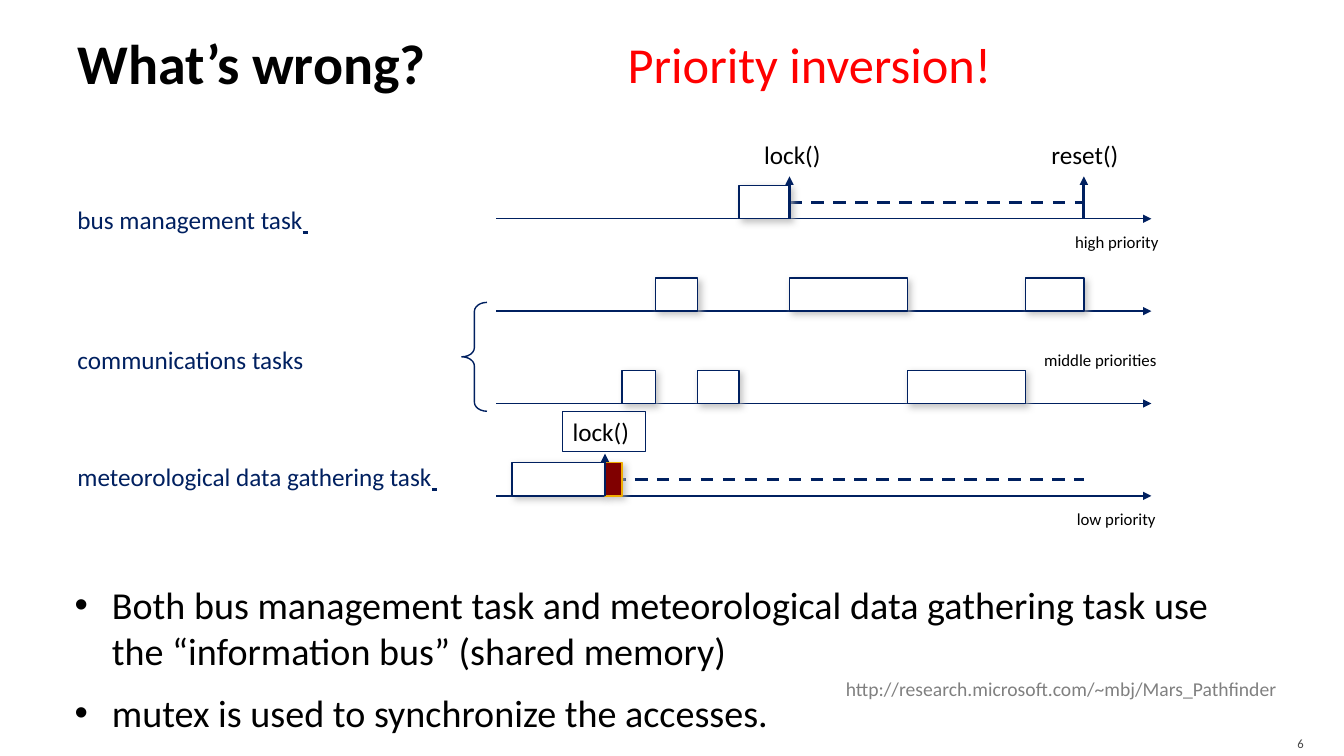
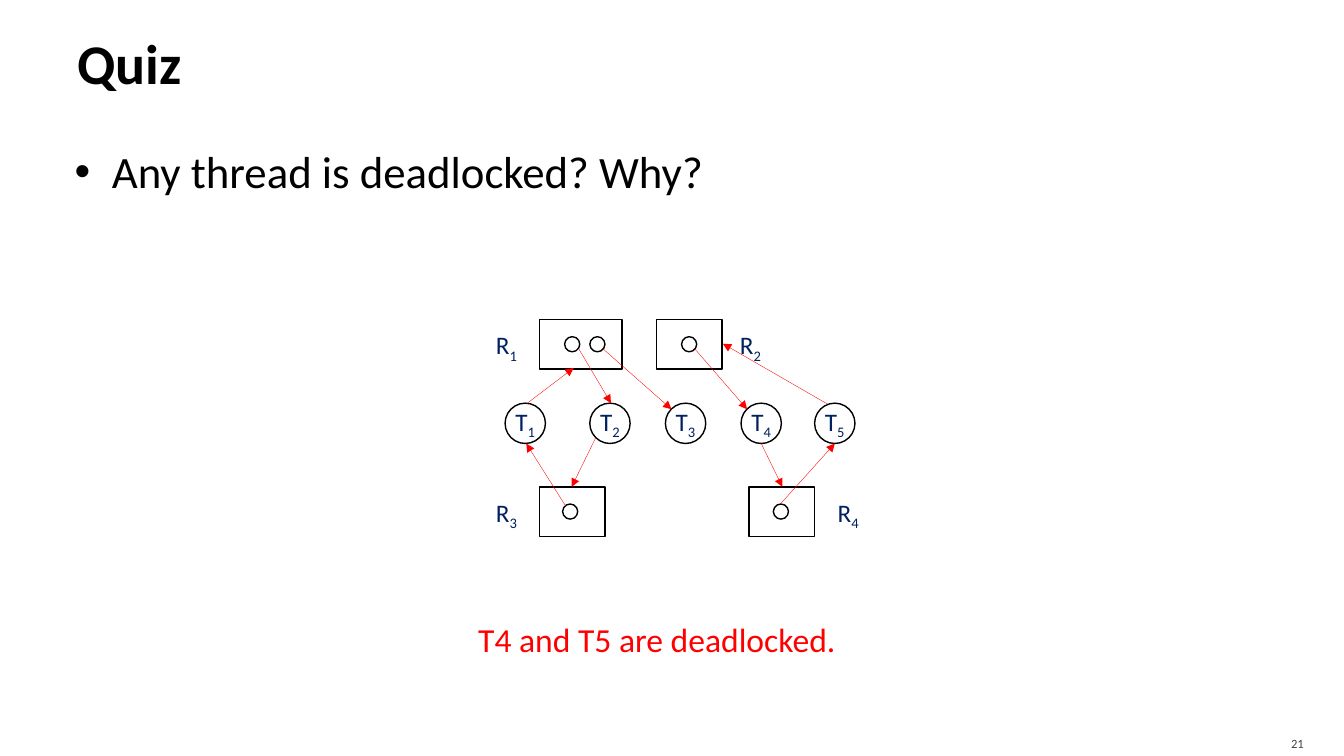
from lxml import etree
from pptx import Presentation
from pptx.dml.color import RGBColor
from pptx.enum import dml, shapes, text
from pptx.oxml import ns
from pptx.util import Inches, Pt

COLORS = {"black": "000000", "white": "FFFFFF", "navy": "002060", "red": "FF0000",
          "maroon": "800000", "gold": "F0AD00", "gray": "808080",
          "number": "454545", "shadow": "B2B2B2"}
FONT = "Calibri"
LEFT, CENTER, RIGHT = text.PP_ALIGN.LEFT, text.PP_ALIGN.CENTER, text.PP_ALIGN.RIGHT
TOP, MIDDLE = text.MSO_ANCHOR.TOP, text.MSO_ANCHOR.MIDDLE
RECT, OVAL = shapes.MSO_SHAPE.RECTANGLE, shapes.MSO_SHAPE.OVAL
MARGINS = (0.1, 0.05, 0.1, 0.05)

# Slide 1: task timelines, times are inches along the slide
INVERSION_POINTS = [
    "Both bus management task and meteorological data gathering task use "
    "the “information bus” (shared memory)",
    "mutex is used to synchronize the accesses."]
TASKS = [(1.98, [("bus management task", None), (" ", "underline")]),
         (3.37, [("communications tasks", None)]),
         (4.53, [("meteorological data gathering task", None), (" ", "underline")])]
PRIORITIES = [("high priority", 10.52, 2.25, 1.07),
              ("middle priorities", 10.21, 3.42, 1.36),
              ("low priority", 10.54, 5, 1.02)]
AXIS_START, AXIS_END = 4.92, 11.42
FIRST_AXIS, AXIS_STEP, BAR_HEIGHT = 2.17, 2.75 / 3, 0.33
BARS = [  # axis, start, end
    (0, 7.33, 7.83),
    (1, 6.5, 6.92), (1, 7.83, 9), (1, 10.17, 10.75),
    (2, 6.17, 6.5), (2, 6.92, 7.33), (2, 9, 10.17),
    (3, 5.08, 6)]
CRITICAL = (3, 6, 6.17)
WAITS = [(0, 7.83, 10.75), (3, 6.08, 10.75)]
EVENTS = [(0, 7.83), (0, 10.75), (3, 6)]
EVENT_LABELS = [("lock()", 7.48, 1.33, 0.82, None), ("reset()", 10.33, 1.33, 0.93, None),
                ("lock()", 5.58, 4.08, 0.82, "navy")]

# Slide 2: resource allocation graph
THREAD_LEFTS = [5.01, 5.85, 6.6, 7.35, 8.08]
RESOURCES = [  # left, top, width, dot lefts, label left
    (5.35, 3.17, 0.82, [5.6, 5.85], 4.82),
    (6.51, 3.17, 0.65, [6.76], 7.24),
    (5.35, 4.83, 0.65, [5.58], 4.82),
    (7.43, 4.83, 0.65, [7.67], 8.21)]
EDGES = [
    (5.61, 5.02, 5.22, 4.4), (5.23, 4, 5.69, 3.65), (5.74, 3.46, 6.06, 4),
    (5.91, 4.34, 5.67, 4.83), (5.98, 3.46, 6.66, 4.06), (6.89, 3.46, 7.41, 4.06),
    (7.74, 5, 8.28, 4.4), (7.55, 4.4, 7.76, 4.83), (8.21, 4.01, 7.17, 3.41)]


def rgb(name):
    return RGBColor.from_string(COLORS[name])


def add_child(parent, tag, **attributes):
    return etree.SubElement(parent, ns.qn(tag), attributes)


def style_run(span, size, color, effect=None, bold=False):
    span.font.name, span.font.size, span.font.bold = FONT, Pt(size), bold
    span.font.color.rgb = rgb(color)
    if effect == "underline":
        span.font.underline = True
    elif effect == "subscript":
        span._r.get_or_add_rPr().set("baseline", "-25000")


def write(box, spans, size, color, align=LEFT, anchor=TOP, wrap=True,
          margins=MARGINS, bold=False):
    """Fill a box with one paragraph; spans is a string or (text, effect) pairs."""
    frame = box.text_frame
    frame.word_wrap, frame.vertical_anchor = wrap, anchor
    (frame.margin_left, frame.margin_top,
     frame.margin_right, frame.margin_bottom) = map(Inches, margins)
    para = frame.paragraphs[0]
    para.alignment = align
    for words, effect in [(spans, None)] if isinstance(spans, str) else spans:
        span = para.add_run()
        span.text = words
        style_run(span, size, color, effect, bold)
    return para


def add_text(page, place, spans, size, color, **options):
    box = page.shapes.add_textbox(*map(Inches, place))
    return write(box, spans, size, color, **options)


def add_box(page, kind, place, fill, line, width=1):
    box = page.shapes.add_shape(kind, *map(Inches, place))
    box.shadow.inherit = False
    if fill:
        box.fill.solid()
        box.fill.fore_color.rgb = rgb(fill)
    else:
        box.fill.background()
    box.line.color.rgb, box.line.width = rgb(line), Pt(width)
    return box


def add_line(page, ends, color, width, arrow=True):
    """Draw an arrow, or a dashed line when arrow is False."""
    line = page.shapes.add_connector(shapes.MSO_CONNECTOR.STRAIGHT, *map(Inches, ends))
    line.line.color.rgb, line.line.width = rgb(color), Pt(width)
    if arrow:
        add_child(line.line._get_or_add_ln(), "a:tailEnd", type="triangle")
    else:
        line.line.dash_style = dml.MSO_LINE.DASH
    add_child(line._element.spPr, "a:effectLst")


def add_bullets(page, place, points, size):
    frame = page.shapes.add_textbox(*map(Inches, place)).text_frame
    frame.word_wrap = True
    frame.margin_left, frame.margin_top = Inches(0.06), Inches(0.1)
    for index, point in enumerate(points):
        para = frame.add_paragraph() if index else frame.paragraphs[0]
        para.text = point
        para.space_after = Pt(6)
        if index:
            para.space_before = Pt(6)
        props = para._p.get_or_add_pPr()
        props.set("marL", str(Inches(0.38)))
        props.set("indent", str(Inches(-0.37)))
        add_child(add_child(props, "a:buClr"), "a:srgbClr", val=COLORS["black"])
        add_child(props, "a:buFont", typeface="Arial")
        add_child(props, "a:buChar", char="•")
        style_run(para.runs[0], size, "black")


def add_page(deck, title, number):
    page = deck.slides.add_slide(deck.slide_layouts[6])
    add_text(page, (0.67, 0.08, 12, 1.08), title, 40, "black", anchor=MIDDLE,
             margins=(0.1, 0.05, 0.05, 0.05), bold=True)
    add_text(page, (11.96, 7.2, 1.07, 0.3), number, 9, "number", align=RIGHT,
             anchor=MIDDLE, margins=(0.1, 0.05, 0.1, 0))
    return page


def axis_y(axis):
    return FIRST_AXIS + axis * AXIS_STEP


def add_bar(page, bar, fill, line):
    axis, start, end = bar
    place = (start, axis_y(axis) - BAR_HEIGHT, end - start, BAR_HEIGHT)
    box = add_box(page, RECT, place, fill, line)
    effects = box._element.spPr.find(ns.qn("a:effectLst"))
    shadow = add_child(effects, "a:outerShdw", blurRad=str(Pt(5)), dist=str(Pt(3)),
                       dir="2700000", algn="ctr", rotWithShape="0")
    tint = add_child(shadow, "a:srgbClr", val=COLORS["shadow"])
    add_child(tint, "a:alpha", val="75000")


def build_inversion(deck):
    page = add_page(deck, "What’s wrong?", "6")
    add_text(page, (5.79, 0.28, 4.48, 0.71), "Priority inversion!", 36, "red", align=CENTER)
    add_bullets(page, (0.67, 5.67, 12, 1.5), INVERSION_POINTS, 27.2)
    add_text(page, (8.29, 6.67, 4.62, 0.34),
             "http://research.microsoft.com/~mbj/Mars_Pathfinder", 14, "gray")

    # Axes, waiting times and running times
    for axis, start, end in WAITS:
        y = axis_y(axis) - BAR_HEIGHT / 2
        add_line(page, (start, y, end, y), "navy", 2.25, arrow=False)
    for axis in range(4):
        add_line(page, (AXIS_START, axis_y(axis), AXIS_END, axis_y(axis)), "navy", 1)
    for bar in BARS:
        add_bar(page, bar, "white", "navy")
    add_bar(page, CRITICAL, "maroon", "gold")
    for axis, x in EVENTS:
        add_line(page, (x, axis_y(axis), x, axis_y(axis) - 0.42), "navy", 2)

    # Labels
    brace = add_box(page, shapes.MSO_SHAPE.LEFT_BRACE, (4.58, 3, 0.25, 1.08), None, "navy")
    brace.adjustments[0] = 0.36
    for top, spans in TASKS:
        add_text(page, (0.67, top, 4.16, 0.4), spans, 18, "navy", anchor=MIDDLE)
    for label, left, top, width in PRIORITIES:
        add_text(page, (left, top, width, 0.3), label, 12, "black", align=RIGHT, wrap=False)
    for label, left, top, width, border in EVENT_LABELS:
        place = (left, top, width, 0.4)
        if border:
            write(add_box(page, RECT, place, None, border, 0.75), label, 18, "black", wrap=False)
        else:
            add_text(page, place, label, 18, "black", wrap=False)


def build_quiz(deck):
    page = add_page(deck, "Quiz", "21")
    add_bullets(page, (0.67, 1.33, 12, 5.83), ["Any thread is deadlocked? Why?"], 32)

    # Threads
    for number, left in enumerate(THREAD_LEFTS, 1):
        circle = add_box(page, OVAL, (left, 4, 0.4, 0.4), "white", "black")
        write(circle, [("T", None), (str(number), "subscript")], 18, "navy",
              align=CENTER, anchor=MIDDLE, wrap=False)

    # Resources with one dot per instance
    for number, (left, top, width, dots, label_left) in enumerate(RESOURCES, 1):
        add_box(page, RECT, (left, top, width, 0.49), "white", "black")
        for dot in dots:
            add_box(page, OVAL, (dot, top + 0.17, 0.15, 0.15), None, "black")
        add_text(page, (label_left, top + 0.05, 0.43, 0.4),
                 [("R", None), (str(number), "subscript")], 18, "navy", wrap=False)

    # Requests and assignments
    for edge in EDGES:
        add_line(page, edge, "red", 0.25)

    answer = add_text(page, (4.44, 6.14, 4.15, 0.47), "T4 and T5 are deadlocked.",
                      24, "red", align=CENTER)
    answer.line_spacing = 0.9


def main():
    deck = Presentation()
    deck.slide_width, deck.slide_height = Inches(13.33), Inches(7.5)
    build_inversion(deck)
    build_quiz(deck)
    deck.save("out.pptx")


if __name__ == "__main__":
    main()
